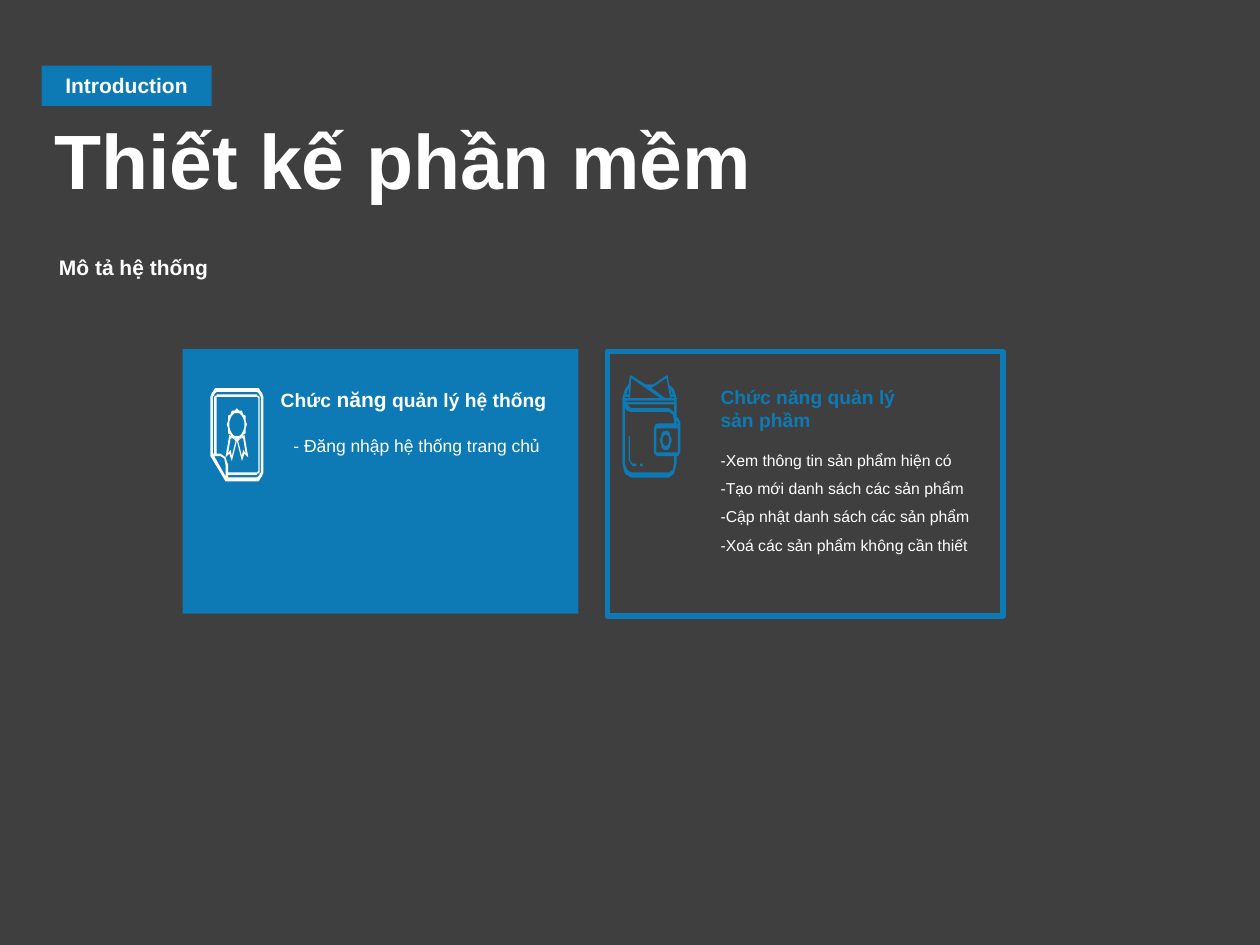
from math import cos, pi, sin

from pptx import Presentation
from pptx.dml.color import RGBColor
from pptx.enum.shapes import MSO_SHAPE as Shape
from pptx.enum.text import MSO_ANCHOR as Anchor, MSO_AUTO_SIZE as AutoSize, PP_ALIGN as Align
from pptx.util import Inches, Pt

CHARCOAL = RGBColor(0x3F, 0x3F, 0x3F)
BLUE = RGBColor(0x0D, 0x7A, 0xB5)
WHITE = RGBColor(0xFF, 0xFF, 0xFF)

COLUMNS, ROWS = 1000, 750
CELL = Inches(10) // COLUMNS
CARD_SIZE = (314, 210)

BODY = dict(alignment=Align.JUSTIFY, line_spacing=1.5)
HEADING = dict(alignment=Align.LEFT)
GROWING = dict(word_wrap=True, auto_size=AutoSize.SHAPE_TO_FIT_TEXT)
CENTRED = dict(word_wrap=True, auto_size=AutoSize.NONE, vertical_anchor=Anchor.MIDDLE)

SEAL_CENTRE = (188, 337)
RIBBON = [(182, 345), (179, 363), (182, 360), (184, 366), (188, 350), (185, 348)]
RIBBON_HOLE = [(183, 348), (181, 360), (183, 357), (184, 362), (187, 350), (185, 348)]
FOLD_HOLE = [(179, 378), (170, 362), (175, 362), (178, 364), (179, 369)]

WALLET_OUTLINE = [
    (538, 331), (537, 332), (537, 316), (535, 309), (531, 305), (530, 298), (529, 298),
    (519, 305), (512, 305), (501, 298), (500, 298), (499, 305), (496, 309), (494, 316),
    (494, 368), (496, 376), (501, 379), (531, 379), (535, 376), (537, 368), (537, 362),
    (538, 362), (540, 359), (540, 335)]
WALLET_BODY = [
    (496, 324), (498, 326), (501, 327), (531, 327), (534, 329), (535, 334), (535, 336),
    (522, 336), (520, 337), (519, 340), (519, 359), (520, 361), (522, 362), (535, 362),
    (535, 368), (534, 373), (531, 375), (501, 375), (498, 373), (496, 368)]
WALLET_DETAILS = [
    [(497, 318), (535, 318), (535, 319), (497, 319)],
    [(533, 315), (535, 315), (535, 316), (533, 316)],
    [(496, 315), (499, 315), (499, 316), (496, 316)],
    [(498, 321), (535, 321), (535, 327), (531, 324), (501, 324)],
    [(532, 308), (534, 313), (533, 313)],
    [(529, 300), (532, 316), (528, 316), (517, 308)],
    [(501, 300), (524, 316), (500, 316)],
    [(499, 308), (499, 313), (497, 313)],
    [(521, 340), (538, 340), (538, 359), (521, 359)],
    [(537, 334), (538, 335), (538, 336), (537, 336)],
    [(499, 346), (500, 346), (500, 365), (502, 368), (505, 368), (505, 370),
     (502, 370), (499, 365)],
    [(508, 368), (510, 368), (510, 370), (508, 370)]]


def grid(*counts):
    return [count * CELL for count in counts]


def apply(target, formats):
    for name, value in formats.items():
        setattr(target, name, value)


def write(frame, paragraphs, paragraph_format, frame_format, color=WHITE, bold=True):
    apply(frame, frame_format)
    for index, runs in enumerate(paragraphs):
        paragraph = frame.add_paragraph() if index else frame.paragraphs[0]
        apply(paragraph, paragraph_format)
        for words, size in runs:
            run = paragraph.add_run()
            run.text = words
            apply(run.font, dict(name="Arial", size=Pt(size), bold=bold))
            run.font.color.rgb = color


def add_text(slide, area, *content, **style):
    write(slide.shapes.add_textbox(*grid(*area)).text_frame, *content, **style)


def add_panel(slide, area, filled=True):
    panel = slide.shapes.add_shape(Shape.RECTANGLE, *grid(*area))
    panel.shadow.inherit = False
    if filled:
        panel.fill.solid()
        panel.fill.fore_color.rgb = BLUE
        panel.line.fill.background()
    else:
        panel.fill.background()
        panel.line.color.rgb = BLUE
        panel.line.width = Pt(3)
    return panel


def add_icon(slide, contours, color):
    first, *others = contours
    builder = slide.shapes.build_freeform(*first[0], scale=CELL)
    builder.add_line_segments(first[1:])
    for contour in others:
        builder.move_to(*contour[0])
        builder.add_line_segments(contour[1:])
    icon = builder.convert_to_shape()
    icon.shadow.inherit = False
    icon.fill.solid()
    icon.fill.fore_color.rgb = color
    icon.line.fill.background()


def arc(center, radii, start=0, end=360, steps=24):
    angles = [(start + (end - start) * step / steps) * pi / 180 for step in range(steps + 1)]
    return [(center[0] + radii[0] * cos(a), center[1] + radii[1] * sin(a)) for a in angles]


def page(left, top, right, bottom, radii, fold):
    rx, ry = radii
    corners = [((left + rx, top + ry), 180), ((right - rx, top + ry), 270),
               ((right - rx, bottom - ry), 0)]
    rounded = [point for center, start in corners
               for point in arc(center, radii, start, start + 90, 6)]
    return rounded + fold


def mirror(contour):
    return [(2 * SEAL_CENTRE[0] - x, y) for x, y in contour]


def certificate():
    curl = [(181, 369), (179, 363), (175, 360)]
    sheets = [page(167, 308, 209, 382, (6, 9), [(179, 382), (167, 362)])]
    for left, top, right, bottom, radii in [(169, 311, 207, 379, (4, 6)),
                                            (170, 313, 206, 377, (3, 4)),
                                            (172, 315, 205, 375, (1, 2))]:
        sheets.append(page(left, top, right, bottom, radii,
                           [(181, bottom), *curl, (left, 360)]))
    rim = arc(SEAL_CENTRE, (8, 13))
    dents = arc(SEAL_CENTRE, (7, 11.5))
    scallops = [(dents if i % 2 else rim)[i] for i in range(len(rim))]
    ribbons = [RIBBON, RIBBON_HOLE, mirror(RIBBON), mirror(RIBBON_HOLE)]
    return sheets + [FOLD_HOLE, scallops, arc(SEAL_CENTRE, (6, 9.5))] + ribbons


def wallet():
    clasp = [arc((528.5, 349.5), radii) for radii in [(4.5, 7.5), (2.5, 4.5)]]
    return [WALLET_OUTLINE, WALLET_BODY, *WALLET_DETAILS, *clasp]


def add_header(slide):
    title = slide.shapes.title
    apply(title, dict(zip(("left", "top", "width", "height"), grid(33, 58, 863, 145))))
    heading = dict(alignment=Align.LEFT, line_spacing=0.9)
    write(title.text_frame, [[("Thiết kế phần mềm", 44)]], heading, CENTRED)
    add_panel(slide, (33, 52, 135, 32)).rotation = 180
    add_text(slide, (24, 50, 153, 37), [[("Introduction", 12)]],
             dict(alignment=Align.CENTER, line_spacing=0.9), CENTRED)
    add_text(slide, (37, 187, 313, 40), [[("Mô tả hệ thống", 12)]], BODY, GROWING)


def add_system_card(slide):
    add_panel(slide, (145, 277, *CARD_SIZE))
    add_icon(slide, certificate(), WHITE)
    add_text(slide, (213, 302, 254, 30),
             [[("Chức ", 11), ("năng", 12), (" quản lý hệ thống", 11)]], HEADING, GROWING)
    add_text(slide, (223, 332, 215, 60), [[("- Đăng nhập hệ thống trang chủ", 10)]],
             BODY, GROWING, bold=False)


def add_product_card(slide):
    add_panel(slide, (482, 279, *CARD_SIZE), filled=False)
    add_icon(slide, wallet(), BLUE)
    add_text(slide, (562, 301, 178, 47), [[("Chức năng quản lý sản phầm", 11)]],
             HEADING, GROWING, color=BLUE)
    tasks = ["-Xem thông tin sản phẩm hiện có", "-Tạo mới danh sách các sản phẩm",
             "-Cập nhật danh sách các sản phẩm", "-Xoá các sản phẩm không cần thiết"]
    add_text(slide, (562, 345, 222, 146), [[(task, 9)] for task in tasks],
             BODY, GROWING, bold=False)


def main():
    deck = Presentation()
    deck.slide_width, deck.slide_height = grid(COLUMNS, ROWS)
    slide = deck.slides.add_slide(deck.slide_layouts[5])
    slide.background.fill.solid()
    slide.background.fill.fore_color.rgb = CHARCOAL
    add_header(slide)
    add_system_card(slide)
    add_product_card(slide)
    deck.save("out.pptx")


if __name__ == "__main__":
    main()
